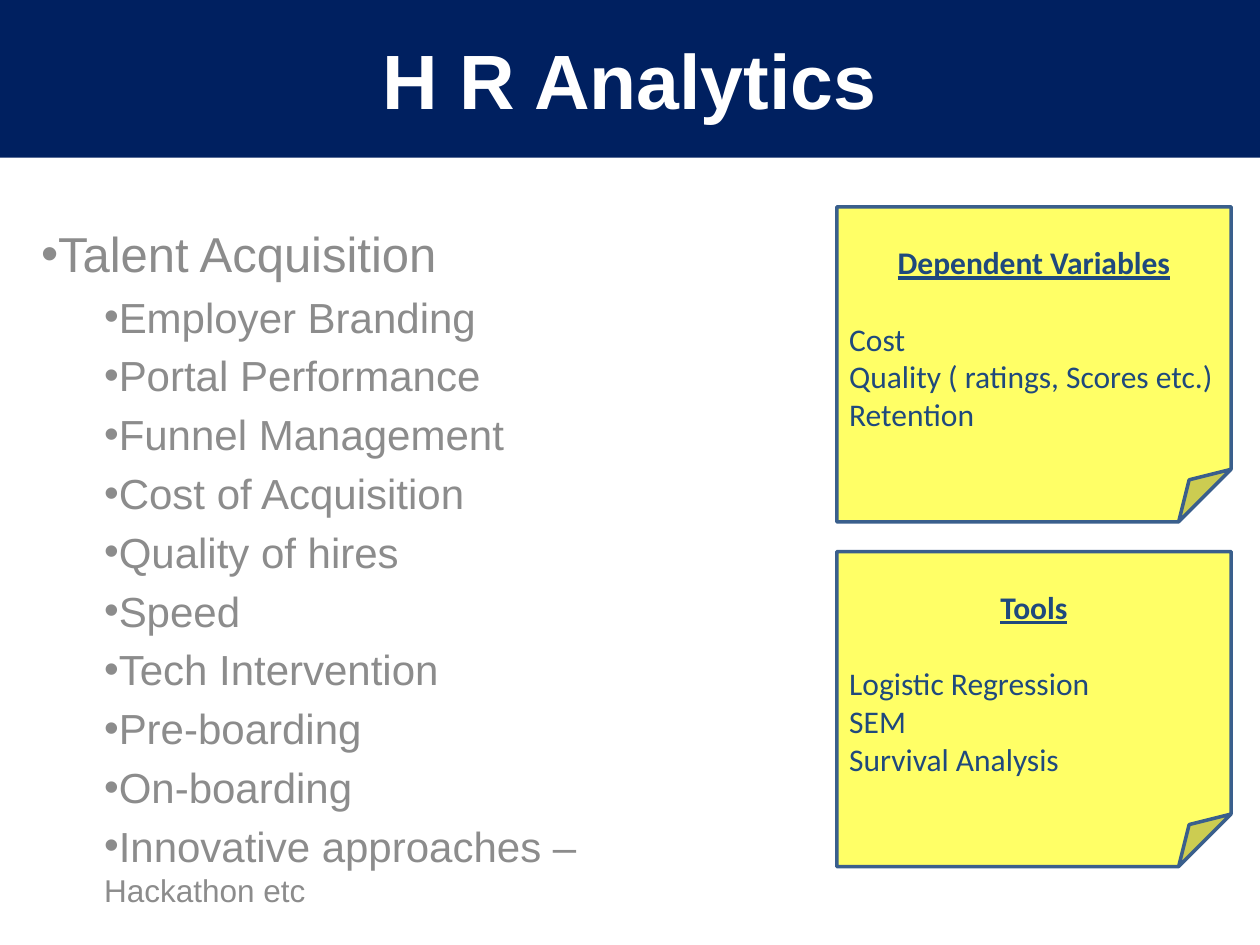
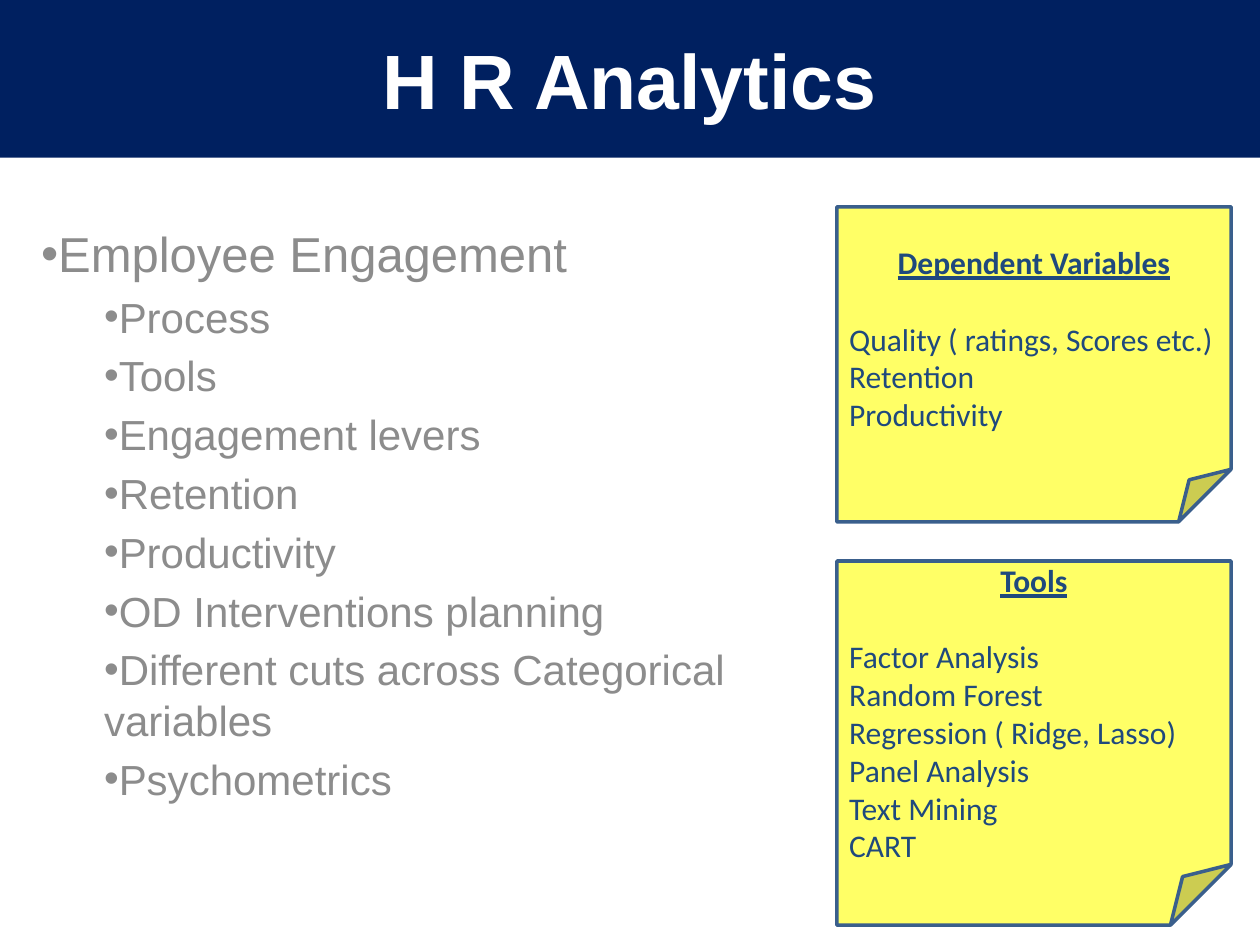
from dataclasses import dataclass

from lxml.etree import SubElement
from pptx import Presentation
from pptx.dml.color import RGBColor as RGB
from pptx.enum.shapes import MSO_SHAPE as SHAPE
from pptx.enum.text import MSO_ANCHOR as ANCHOR, PP_ALIGN as ALIGN
from pptx.oxml.ns import qn
from pptx.util import Cm, Pt


@dataclass(frozen=True)
class Theme:
    navy: RGB = RGB(0x00, 0x20, 0x60)
    white: RGB = RGB(0xFF, 0xFF, 0xFF)
    grey: RGB = RGB(0x8C, 0x8C, 0x8C)
    yellow: RGB = RGB(0xFF, 0xFF, 0x66)
    note_line: RGB = RGB(0x3A, 0x5F, 0x8C)
    note_text: RGB = RGB(0x1F, 0x49, 0x7D)
    main_font: str = "Arial"
    note_font: str = "Calibri"
    title: int = 44
    topic: int = 28
    point: int = 24
    small: int = 18


T = Theme()
TITLE = "H R Analytics"
NOTE_LEFT, NOTE_WIDTH = 16.87, 7.95

# Each point is a list of (text, size) runs; each note is (top, height, heading, lines).
SLIDES = [
    {
        "topic": "Talent Acquisition",
        "points": [[(text, T.point)] for text in (
            "Employer Branding", "Portal Performance", "Funnel Management",
            "Cost of Acquisition", "Quality of hires", "Speed",
            "Tech Intervention", "Pre-boarding", "On-boarding")]
        + [[("Innovative approaches – ", T.point), ("Hackathon etc", T.small)]],
        "notes": [
            (4.17, 6.35, "Dependent Variables",
             ["Cost", "Quality ( ratings, Scores etc.)", "Retention"]),
            (11.12, 6.35, "Tools",
             ["Logistic Regression", "SEM", "Survival Analysis"]),
        ],
    },
    {
        "topic": "Employee Engagement",
        "points": [[(text, T.point)] for text in (
            "Process", "Tools", "Engagement levers", "Retention",
            "Productivity", "OD Interventions planning",
            "Different cuts across Categorical variables", "Psychometrics")],
        "notes": [
            (4.17, 6.35, "Dependent Variables",
             ["Quality ( ratings, Scores etc.)", "Retention", "Productivity"]),
            (11.31, 7.34, "Tools",
             ["Factor Analysis", "Random Forest", "Regression ( Ridge, Lasso)",
              "Panel Analysis", "Text Mining", "CART"]),
        ],
    },
]


def add_run(p, text, font, size, color, bold=False, underline=False):
    r = p.add_run()
    r.text = text
    r.font.name = font
    r.font.size = Pt(size)
    r.font.color.rgb = color
    r.font.bold = bold
    r.font.underline = underline


def add_box(s, kind, left, top, width, height, fill):
    """Add a flat filled shape without outline and with middle-anchored text."""
    sp = s.shapes.add_shape(kind, Cm(left), Cm(top), Cm(width), Cm(height))
    sp.shadow.inherit = False
    sp.fill.solid()
    sp.fill.fore_color.rgb = fill
    sp.line.fill.background()
    sp.text_frame.word_wrap = True
    sp.text_frame.vertical_anchor = ANCHOR.MIDDLE
    return sp


prs = Presentation()
prs.slide_width, prs.slide_height = Cm(25.4), Cm(19.05)

for content in SLIDES:
    s = prs.slides.add_slide(prs.slide_layouts[6])

    band = add_box(s, SHAPE.RECTANGLE, 0, 0, 25.4, 3.18, T.navy)
    p = band.text_frame.paragraphs[0]
    p.alignment = ALIGN.CENTER
    add_run(p, TITLE, T.main_font, T.title, T.white, bold=True)

    body = s.shapes.add_textbox(Cm(0.58), Cm(4.39), Cm(14.45), Cm(11.68))
    tf = body.text_frame
    tf.word_wrap = True
    for i, runs in enumerate([[(content["topic"], T.topic)]] + content["points"]):
        p = tf.add_paragraph() if i else tf.paragraphs[0]
        p.level = 1 if i else 0
        p.space_before = Pt(0.2 * runs[0][1])
        pPr = p._p.get_or_add_pPr()
        pPr.set("marL", str(Cm(1.27) if i else 0))
        pPr.set("indent", "0")
        SubElement(pPr, qn("a:buFont")).set("typeface", T.main_font)
        SubElement(pPr, qn("a:buChar")).set("char", "•")
        for text, size in runs:
            add_run(p, text, T.main_font, size, T.grey)

    for top, height, heading, lines in content["notes"]:
        note = add_box(s, SHAPE.FOLDED_CORNER, NOTE_LEFT, top, NOTE_WIDTH, height, T.yellow)
        note.line.color.rgb = T.note_line
        note.line.width = Pt(2)
        tf = note.text_frame
        p = tf.paragraphs[0]
        p.alignment = ALIGN.CENTER
        p.space_after = Pt(22)
        add_run(p, heading, T.note_font, T.small, T.note_text, bold=True, underline=True)
        for line in lines:
            p = tf.add_paragraph()
            p.alignment = ALIGN.LEFT
            add_run(p, line, T.note_font, T.small, T.note_text)

prs.save("out.pptx")
